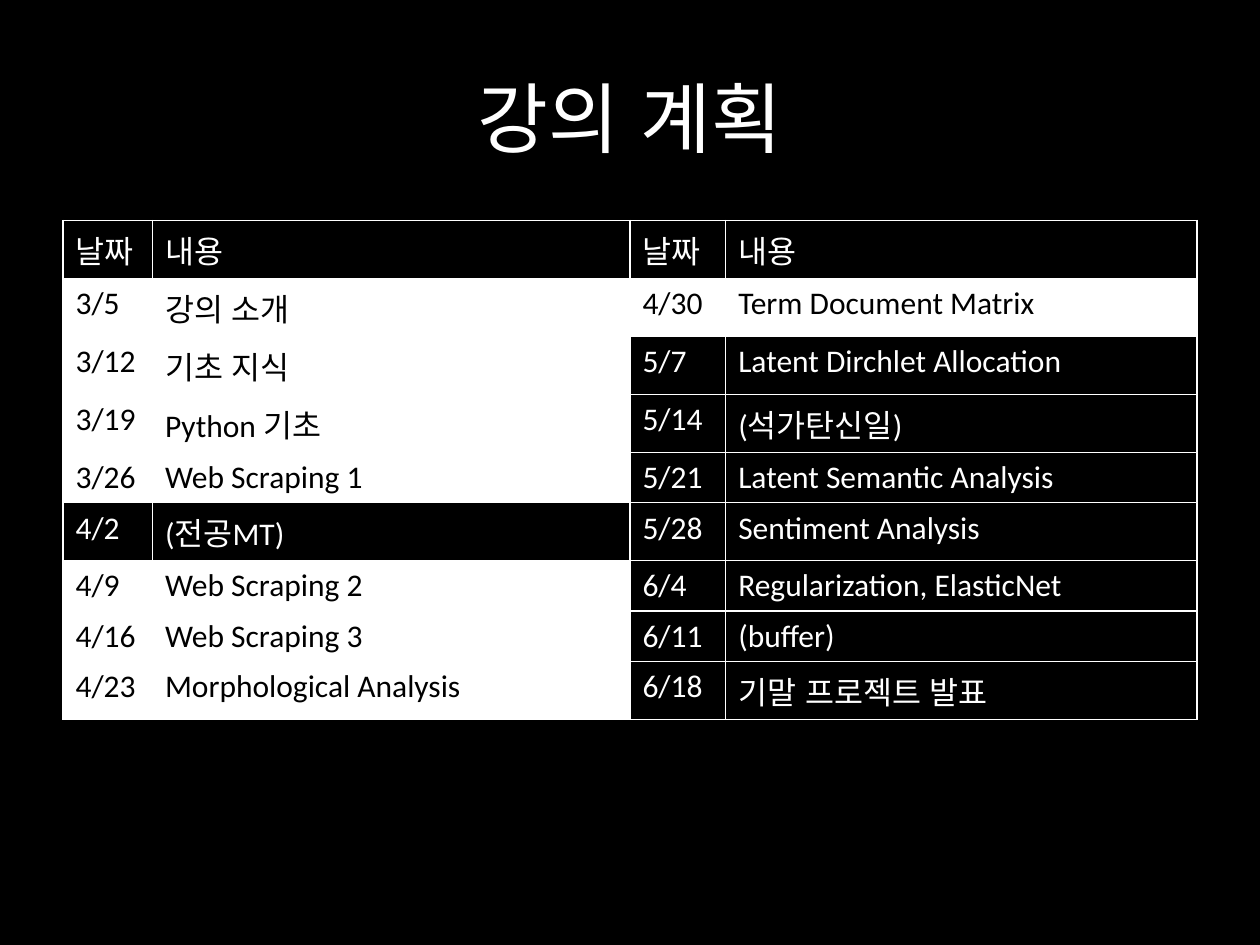
from lxml.etree import SubElement
from pptx import Presentation
from pptx.dml.color import RGBColor
from pptx.enum.lang import MSO_LANGUAGE_ID as Language
from pptx.enum.text import MSO_ANCHOR as Anchor, PP_ALIGN as Align
from pptx.oxml.ns import qn
from pptx.util import Inches, Pt

BLACK = RGBColor(0x00, 0x00, 0x00)
WHITE = RGBColor(0xFF, 0xFF, 0xFF)
FONT = "Calibri"

TITLE = "강의 계획"
HEADINGS = ("날짜", "내용")
FIRST_HALF = [
    ("3/5", "강의 소개"),
    ("3/12", "기초 지식"),
    ("3/19", "Python 기초"),
    ("3/26", "Web Scraping 1"),
    ("4/2", "(전공MT)"),
    ("4/9", "Web Scraping 2"),
    ("4/16", "Web Scraping 3"),
    ("4/23", "Morphological Analysis"),
]
SECOND_HALF = [
    ("4/30", "Term Document Matrix"),
    ("5/7", "Latent Dirchlet Allocation"),
    ("5/14", "(석가탄신일)"),
    ("5/21", "Latent Semantic Analysis"),
    ("5/28", "Sentiment Analysis"),
    ("6/4", "Regularization, ElasticNet"),
    ("6/11", "(buffer)"),
    ("6/18", "기말 프로젝트 발표"),
]
HIGHLIGHTED = {date for date, _ in FIRST_HALF} - {"4/2"} | {"4/30"}
COLUMN_WIDTHS = (0.71, 3.79, 0.76, 3.74)
LATIN_ROW_HEIGHT = 0.4
KOREAN_ROW_HEIGHT = 0.46


def write(frame, text, size=18, color=WHITE, align=Align.LEFT):
    paragraph = frame.paragraphs[0]
    paragraph.alignment = align
    run = paragraph.add_run()
    run.text = text
    font = run.font
    font.name, font.size, font.bold = FONT, Pt(size), False
    font.language_id = Language.KOREAN
    font.color.rgb = color


def add_borders(cell):
    properties = cell._tc.get_or_add_tcPr()
    for position, side in enumerate(("lnL", "lnR", "lnT", "lnB")):
        line = SubElement(properties, qn(f"a:{side}"), w=str(Pt(1)))
        fill = SubElement(line, qn("a:solidFill"))
        SubElement(fill, qn("a:srgbClr"), val=str(WHITE))
        properties.insert(position, line)


def row_height(week):
    latin_only = all(text.isascii() for session in week for text in session)
    return LATIN_ROW_HEIGHT if latin_only else KOREAN_ROW_HEIGHT


def add_title(slide):
    title = slide.shapes.add_textbox(Inches(0.5), Inches(0.3), Inches(9), Inches(1.25))
    title.text_frame.word_wrap = True
    title.text_frame.vertical_anchor = Anchor.MIDDLE
    write(title.text_frame, TITLE, size=44, align=Align.CENTER)


def add_schedule(slide):
    weeks = [(HEADINGS, HEADINGS), *zip(FIRST_HALF, SECOND_HALF)]
    schedule = slide.shapes.add_table(
        len(weeks), len(COLUMN_WIDTHS), Inches(0.5), Inches(1.75),
        Inches(sum(COLUMN_WIDTHS)), Inches(sum(map(row_height, weeks))),
    ).table
    schedule.first_row = schedule.horz_banding = False
    for column, width in zip(schedule.columns, COLUMN_WIDTHS):
        column.width = Inches(width)
    for row, week in enumerate(weeks):
        schedule.rows[row].height = Inches(row_height(week))
        for half, session in enumerate(week):
            highlighted = session[0] in HIGHLIGHTED
            for offset, text in enumerate(session):
                cell = schedule.cell(row, half * len(HEADINGS) + offset)
                if highlighted:
                    cell.fill.solid()
                    cell.fill.fore_color.rgb = WHITE
                else:
                    cell.fill.background()
                write(cell.text_frame, text, color=BLACK if highlighted else WHITE)
                add_borders(cell)


def main():
    deck = Presentation()
    deck.slide_width, deck.slide_height = Inches(10), Inches(7.5)
    slide = deck.slides.add_slide(deck.slide_layouts[6])
    slide.background.fill.solid()
    slide.background.fill.fore_color.rgb = BLACK
    add_title(slide)
    add_schedule(slide)
    deck.save("out.pptx")


if __name__ == "__main__":
    main()
